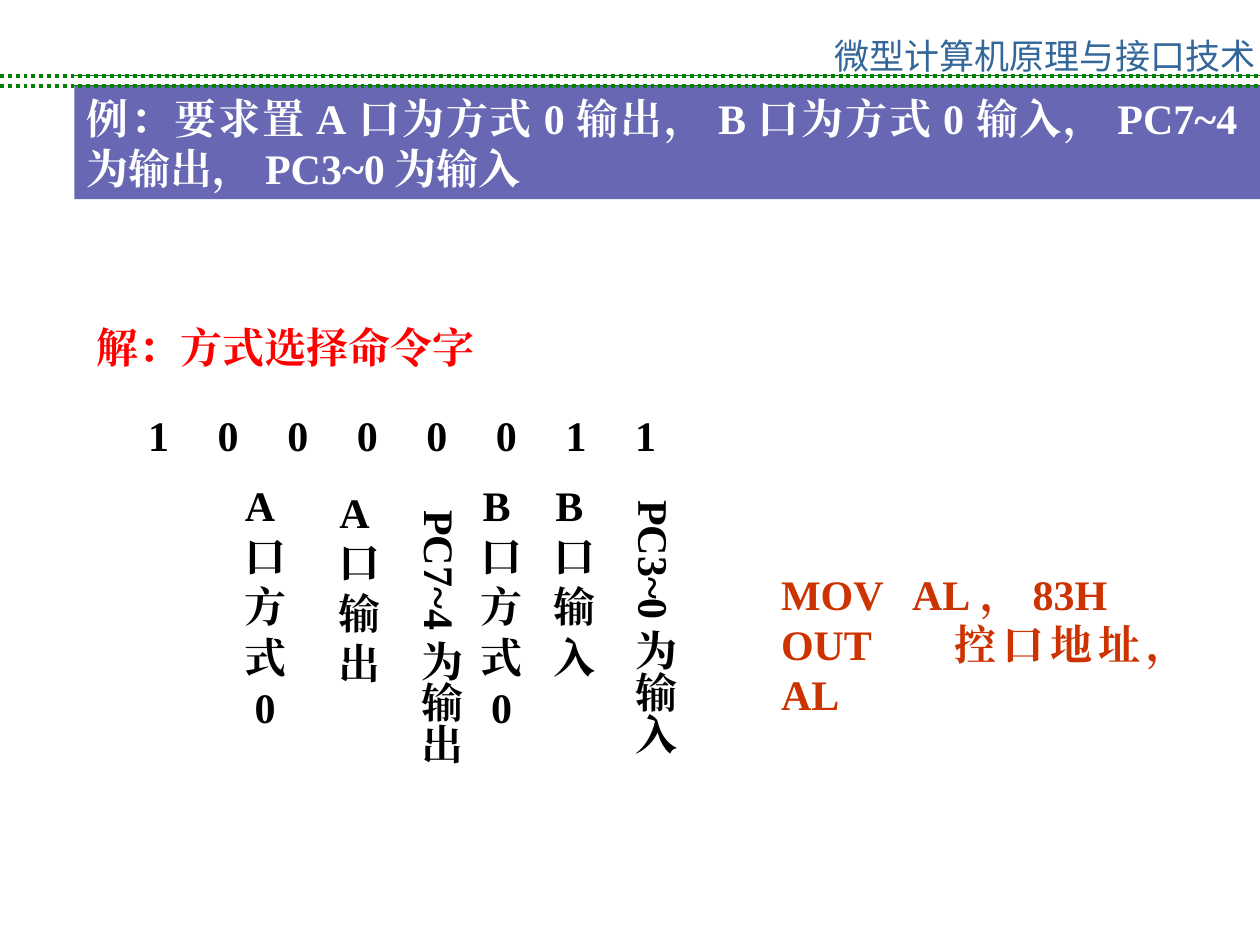
from lxml.etree import SubElement
from pptx import Presentation
from pptx.dml.color import RGBColor
from pptx.enum.dml import MSO_LINE
from pptx.enum.shapes import MSO_CONNECTOR, MSO_SHAPE
from pptx.enum.text import MSO_ANCHOR, MSO_AUTO_SIZE, PP_ALIGN
from pptx.oxml.ns import qn
from pptx.util import Pt

WHITE = RGBColor(0xFF, 0xFF, 0xFF)
BLACK = RGBColor(0, 0, 0)
GREEN = RGBColor(0, 0x80, 0)
STEEL = RGBColor(0x33, 0x66, 0x99)
INDIGO = RGBColor(0x33, 0x33, 0x99)
RED = RGBColor(0xFF, 0, 0)
RUST = RGBColor(0xCC, 0x33, 0)
SERIF = "Times New Roman"
SANS = "Noto Sans CJK SC"


def write_text(tf, text, size=24, font=SERIF, color=BLACK, bold=True,
               align=PP_ALIGN.CENTER, leading=28.8, wrap=True):
    """Fill a text frame, one paragraph for each line of text."""
    tf.word_wrap = wrap
    tf.auto_size = MSO_AUTO_SIZE.NONE
    tf.vertical_anchor = MSO_ANCHOR.TOP
    tf.margin_left = tf.margin_right = Pt(7.2)
    tf.margin_top = tf.margin_bottom = Pt(3.6)
    for i, line in enumerate(text.split("\n")):
        p = tf.add_paragraph() if i else tf.paragraphs[0]
        p.alignment = align
        p.line_spacing = Pt(leading)
        p.space_before = Pt(0)
        r = p.add_run()
        r.text = line
        r.font.size = Pt(size)
        r.font.bold = bold
        r.font.color.rgb = color
        r.font.name = font
        SubElement(r.font._element, qn("a:ea"), typeface=font)


class SlideBuilder:
    """Holds the slide and draws its kinds of element in one style."""

    def __init__(self, prs):
        self.s = prs.slides.add_slide(prs.slide_layouts[5])

    def line(self, x1, y1, x2, y2, color, width=0.75, dash=None):
        cn = self.s.shapes.add_connector(MSO_CONNECTOR.STRAIGHT, Pt(x1), Pt(y1), Pt(x2), Pt(y2))
        cn.line.color.rgb = color
        cn.line.width = Pt(width)
        if dash:
            cn.line.dash_style = dash
        SubElement(cn._element.spPr, qn("a:effectLst"))

    def title(self, text, x, y, w, h, fill, opacity):
        sp = self.s.shapes.title
        sp.left, sp.top, sp.width, sp.height = Pt(x), Pt(y), Pt(w), Pt(h)
        sp.fill.solid()
        sp.fill.fore_color.rgb = fill
        clr = sp._element.spPr.find(qn("a:solidFill"))[0]
        SubElement(clr, qn("a:alpha"), val=str(opacity * 1000))
        write_text(sp.text_frame, text, color=WHITE, align=PP_ALIGN.JUSTIFY)

    def text(self, text, x, y, w, h, **style):
        sp = self.s.shapes.add_textbox(Pt(x), Pt(y), Pt(w), Pt(h))
        write_text(sp.text_frame, text, **style)
        return sp.text_frame

    def vertical_text(self, text, x, y, w, h):
        tf = self.text(text, x, y, w, h)
        tf.margin_left = tf.margin_right = Pt(3.6)
        tf.margin_top = tf.margin_bottom = Pt(7.2)
        tf._txBody.bodyPr.set("vert", "eaVert")

    def bit(self, text, x, y, w, h):
        sp = self.s.shapes.add_shape(MSO_SHAPE.RECTANGLE, Pt(x), Pt(y), Pt(w), Pt(h))
        sp.shadow.inherit = False
        sp.fill.background()
        sp.line.color.rgb = WHITE
        sp.line.width = Pt(0.75)
        write_text(sp.text_frame, text)


def main():
    prs = Presentation()
    prs.slide_width, prs.slide_height = Pt(720), Pt(540)
    b = SlideBuilder(prs)

    for start, y in ((42.5, 49), (41, 43.2)):
        b.line(start, y, 720, y, GREEN)
        b.line(0, y, 720, y, GREEN, 2.25, MSO_LINE.ROUND_DOT)
    b.text("微型计算机原理与接口技术", 496, 15.1, 202.3, 17.3, size=20, font=SANS,
           color=STEEL, bold=False, leading=25, wrap=False)
    b.title("例：要求置A口为方式0输出，B口为方式0输入，PC7~4为输出，PC3~0为输入",
            42.5, 49, 677.5, 64.8, INDIGO, 74)
    b.text("MOV   AL，83H\nOUT    控口地址，AL", 439.2, 321.1, 252.7, 93.6,
           color=RUST, align=PP_ALIGN.JUSTIFY)
    b.text("解：方式选择命令字", 48.2, 180, 414, 36, color=RED, align=PP_ALIGN.JUSTIFY)

    for text, x, y, w, h in (
        ("A口\n方\n式\n0", 127.4, 270.7, 48.2, 151.2),
        ("A口\n输出", 181.4, 274.3, 48.2, 122.4),
        ("B口\n方\n式\n0", 265.7, 270.7, 41.8, 151.2),
        ("B口\n输入", 307.4, 270.7, 41.8, 122.4),
    ):
        b.text(text, x, y, w, h)
    b.vertical_text("PC7~4为输出", 226.8, 284.4, 43.2, 255.6)
    b.vertical_text("PC3~0为输入", 349.2, 278.6, 43.2, 225.4)

    pitch = 39.75
    for i, digit in enumerate("10000011"):
        b.bit(digit, 70.8 + i * pitch, 230.4, pitch, 36)
    b.line(192.2, 232.6, 192.2, 267.8, WHITE)

    prs.save("out.pptx")


if __name__ == "__main__":
    main()
